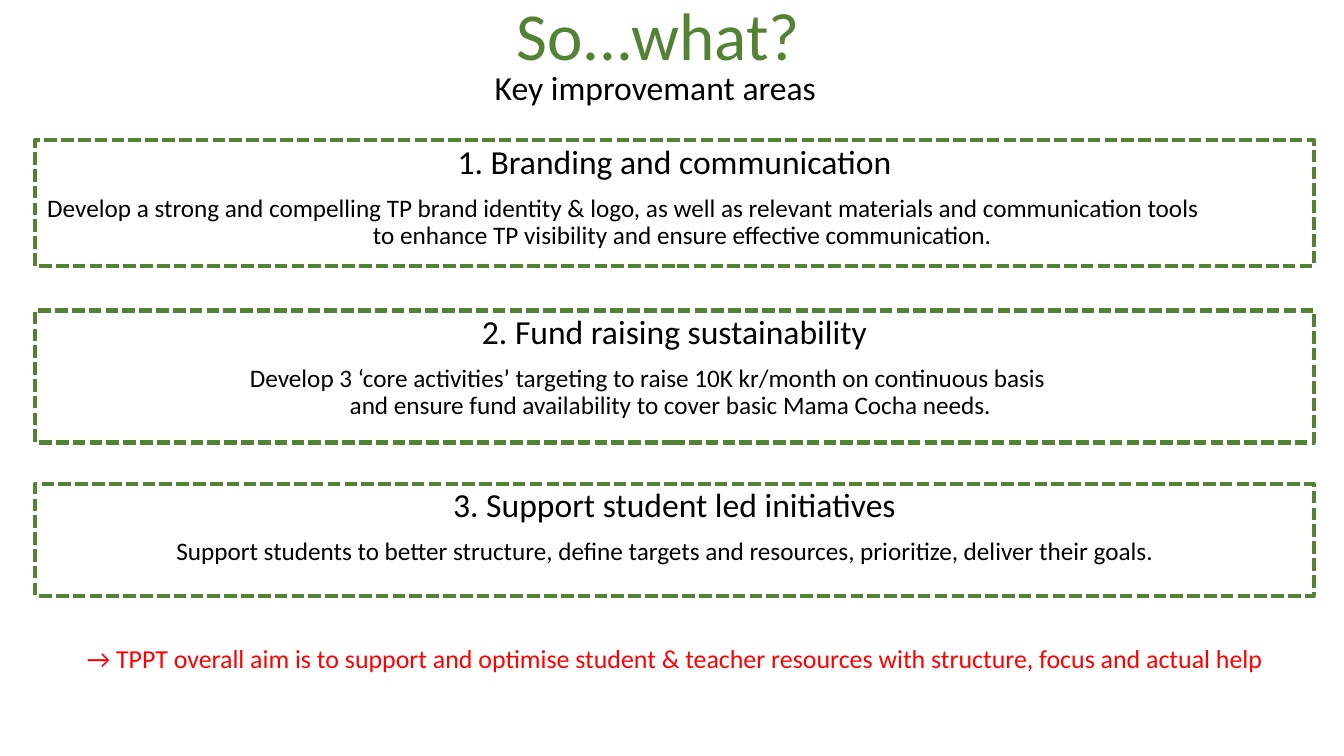
from pptx import Presentation
from pptx.dml.color import RGBColor
from pptx.enum.dml import MSO_LINE
from pptx.enum.shapes import MSO_SHAPE
from pptx.enum.text import MSO_ANCHOR, MSO_AUTO_SIZE, PP_ALIGN
from pptx.util import Inches, Pt

GREEN, BLACK, RED = "548235", "000000", "FF0000"
LEFT, WIDTH = 0.35, 12.68

# Top, height, heading, and body lines with their indents
AREAS = [
    (1.39, 1.25, "1. Branding and communication", [
        ("Develop a strong and compelling TP brand identity & logo, as well as "
         "relevant materials and communication tools", 0.02),
        ("to enhance TP visibility and ensure effective communication.", 3.25),
    ]),
    (3.08, 1.31, "2. Fund raising sustainability", [
        ("Develop 3 ‘core activities’ targeting to raise 10K kr/month on continuous basis", 2.03),
        ("and ensure fund availability to cover basic Mama Cocha needs.", 3.02),
    ]),
    (4.8, 1.11, "3. Support student led initiatives", [
        ("Support students to better structure, define targets and resources, "
         "prioritize, deliver their goals.", 1.3),
    ]),
]


def rgb(color):
    return RGBColor.from_string(color)


def format_paragraph(paragraph, text, size, color=BLACK, align=PP_ALIGN.CENTER):
    paragraph.text = text
    paragraph.alignment = align
    paragraph.line_spacing = 0.9
    paragraph.space_before = Pt(0)
    paragraph.font.name = "Calibri"
    paragraph.font.size = Pt(size)
    paragraph.font.color.rgb = rgb(color)


def add_title(slide, left, top, width, height, text):
    title = slide.shapes.title
    title.left, title.top = Inches(left), Inches(top)
    title.width, title.height = Inches(width), Inches(height)
    frame = title.text_frame
    frame.auto_size = MSO_AUTO_SIZE.NONE
    frame.vertical_anchor = MSO_ANCHOR.BOTTOM
    format_paragraph(frame.paragraphs[0], text, 48, GREEN)


def add_text_line(slide, left, top, width, height, text, size, color):
    box = slide.shapes.add_textbox(Inches(left), Inches(top), Inches(width), Inches(height))
    box.text_frame.word_wrap = True
    format_paragraph(box.text_frame.paragraphs[0], text, size, color)


def add_area(slide, left, top, width, height, heading, lines):
    """Draw a dashed box with a centred heading and indented body lines."""
    box = slide.shapes.add_shape(
        MSO_SHAPE.RECTANGLE, Inches(left), Inches(top), Inches(width), Inches(height))
    box.shadow.inherit = False
    box.fill.background()
    box.line.color.rgb = rgb(GREEN)
    box.line.width = Pt(3)
    box.line.dash_style = MSO_LINE.SQUARE_DOT
    frame = box.text_frame
    frame.word_wrap = True
    frame.vertical_anchor = MSO_ANCHOR.TOP
    format_paragraph(frame.paragraphs[0], heading, 24)
    for index, (text, indent) in enumerate(lines):
        paragraph = frame.add_paragraph()
        format_paragraph(paragraph, text, 18, align=PP_ALIGN.LEFT)
        paragraph.space_before = Pt(0 if index else 10)
        paragraph._p.get_or_add_pPr().set("marL", str(Inches(indent)))


def main():
    presentation = Presentation()
    presentation.slide_width, presentation.slide_height = Inches(13.33), Inches(7.5)
    slide = presentation.slides.add_slide(presentation.slide_layouts[5])
    add_title(slide, 1.53, 0.08, 10, 0.71, "So...what?")
    add_text_line(slide, 0.27, 0.66, 12.46, 0.48, "Key improvemant areas", 24, BLACK)
    for top, height, heading, lines in AREAS:
        add_area(slide, LEFT, top, WIDTH, height, heading, lines)
    add_text_line(
        slide, LEFT, 6.36, WIDTH, 0.56,
        "→ TPPT overall aim is to support and optimise student & teacher resources "
        "with structure, focus and actual help", 18.5, RED)
    presentation.save("out.pptx")


if __name__ == "__main__":
    main()
